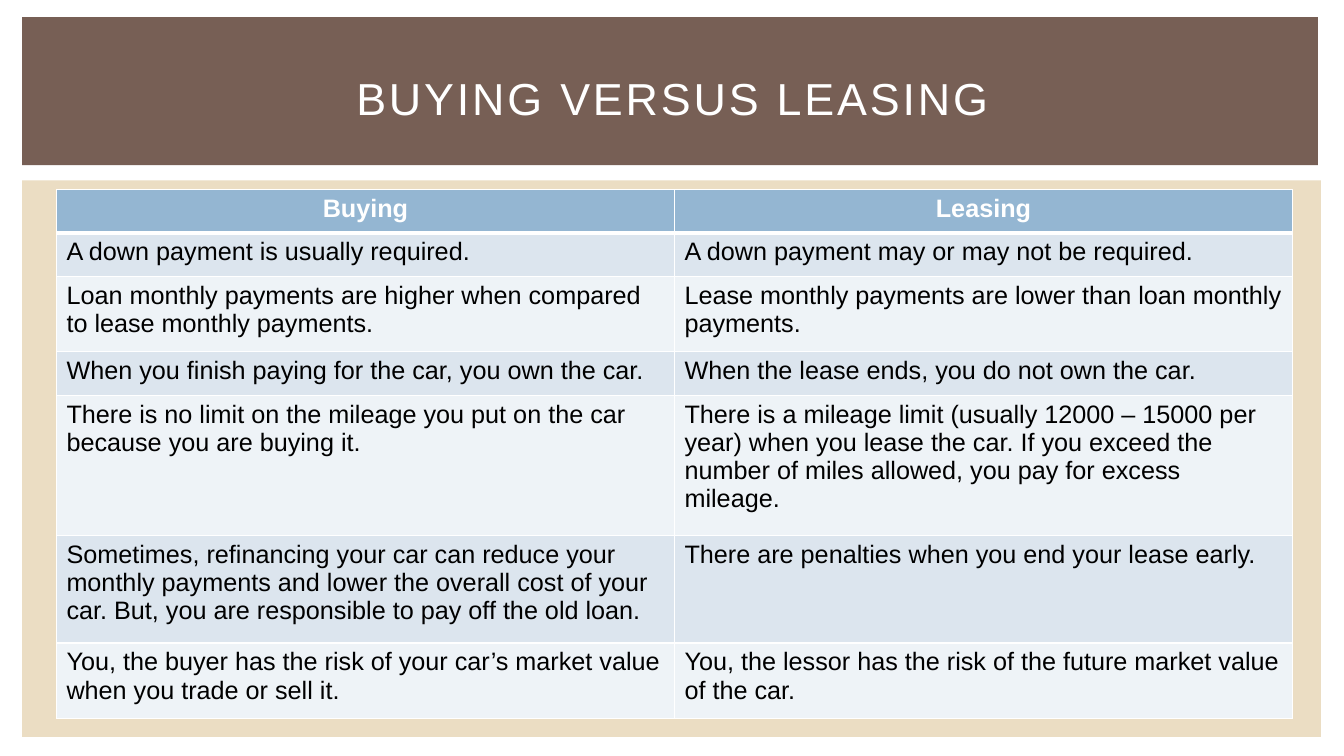
from lxml.etree import SubElement
from pptx import Presentation
from pptx.dml.color import RGBColor
from pptx.enum.shapes import MSO_SHAPE as Shape
from pptx.enum.text import MSO_ANCHOR as Anchor, PP_ALIGN as Align
from pptx.oxml.ns import qn
from pptx.util import Pt

PX = 9144  # 100 px to the inch
FONT = "Arial"
COLORS = {
    "white": "FFFFFF",
    "black": "000000",
    "sand": "EBDDC3",
    "brown": "775F55",
    "header": "94B6D2",
    "band_dark": "DCE5EE",
    "band_light": "EEF3F7",
}
ROW_HEIGHTS = [43, 43, 75, 43, 139, 107, 75]
COLUMN_WIDTH = 613
COMPARISON = [
    ("Buying", "Leasing"),
    ("A down payment is usually required.",
     "A down payment may or may not be required."),
    ("Loan monthly payments are higher when compared to lease monthly payments.",
     "Lease monthly payments are lower than loan monthly payments."),
    ("When you finish paying for the car, you own the car.",
     "When the lease ends, you do not own the car."),
    ("There is no limit on the mileage you put on the car because you are buying it.",
     "There is a mileage limit (usually 12000 – 15000 per year) when you lease the car. "
     "If you exceed the number of miles allowed, you pay for excess mileage."),
    ("Sometimes, refinancing your car can reduce your monthly payments and lower the "
     "overall cost of your car. But, you are responsible to pay off the old loan.",
     "There are penalties when you end your lease early."),
    ("You, the buyer has the risk of your car’s market value when you trade or sell it.",
     "You, the lessor has the risk of the future market value of the car."),
]


def px(*lengths):
    return [length * PX for length in lengths]


def color(name):
    return RGBColor.from_string(COLORS[name])


def add_run(paragraph, text, size, color_name, bold=False):
    run = paragraph.add_run()
    run.text = text
    run.font.name = FONT
    run.font.size = Pt(size)
    run.font.bold = bold
    run.font.color.rgb = color(color_name)
    return run


def add_panel(slide, box, color_name):
    panel = slide.shapes.add_shape(Shape.RECTANGLE, *px(*box))
    panel.shadow.inherit = False
    panel.fill.solid()
    panel.fill.fore_color.rgb = color(color_name)
    panel.line.fill.background()


def set_borders(cell, bottom_width):
    """Draw white lines around the cell, 1 pt except at the bottom."""
    properties = cell._tc.get_or_add_tcPr()
    widths = {"a:lnL": 1, "a:lnR": 1, "a:lnT": 1, "a:lnB": bottom_width}
    for index, (tag, width) in enumerate(widths.items()):
        line = SubElement(properties, qn(tag), w=str(Pt(width)))
        fill = SubElement(line, qn("a:solidFill"))
        SubElement(fill, qn("a:srgbClr"), val=COLORS["white"])
        properties.insert(index, line)  # lines come before the fill


def fill_cell(cell, text, row):
    is_header = row == 0
    band = "band_dark" if row % 2 else "band_light"
    cell.fill.solid()
    cell.fill.fore_color.rgb = color("header" if is_header else band)
    set_borders(cell, 3 if is_header else 1)
    paragraph = cell.text_frame.paragraphs[0]
    paragraph.alignment = Align.CENTER if is_header else Align.LEFT
    add_run(paragraph, text, 18, "white" if is_header else "black", is_header)


def add_comparison_table(slide, left, top):
    box = px(left, top, 2 * COLUMN_WIDTH, sum(ROW_HEIGHTS))
    table = slide.shapes.add_table(len(COMPARISON), 2, *box).table
    for column in table.columns:
        column.width = COLUMN_WIDTH * PX
    for row, (height, texts) in enumerate(zip(ROW_HEIGHTS, COMPARISON)):
        table.rows[row].height = height * PX
        for column, text in enumerate(texts):
            fill_cell(table.cell(row, column), text, row)


def set_title(slide, text, box):
    title = slide.shapes.title
    title.left, title.top, title.width, title.height = px(*box)
    frame = title.text_frame
    frame.vertical_anchor = Anchor.MIDDLE
    paragraph = frame.paragraphs[0]
    paragraph.alignment = Align.CENTER
    run = add_run(paragraph, text, 32, "white")
    run.font._element.set("spc", "200")
    # Bring the title in front of the panels.
    title.element.getparent().append(title.element)


def main():
    presentation = Presentation()
    presentation.slide_width, presentation.slide_height = px(1333, 750)
    slide = presentation.slides.add_slide(presentation.slide_layouts[5])
    add_panel(slide, (22, 179, 1288, 552), "sand")
    add_panel(slide, (22, 17, 1285, 147), "brown")
    add_comparison_table(slide, 56, 188)
    set_title(slide, "BUYING VERSUS LEASING", (56, 39, 1222, 115))
    presentation.save("out.pptx")


if __name__ == "__main__":
    main()
